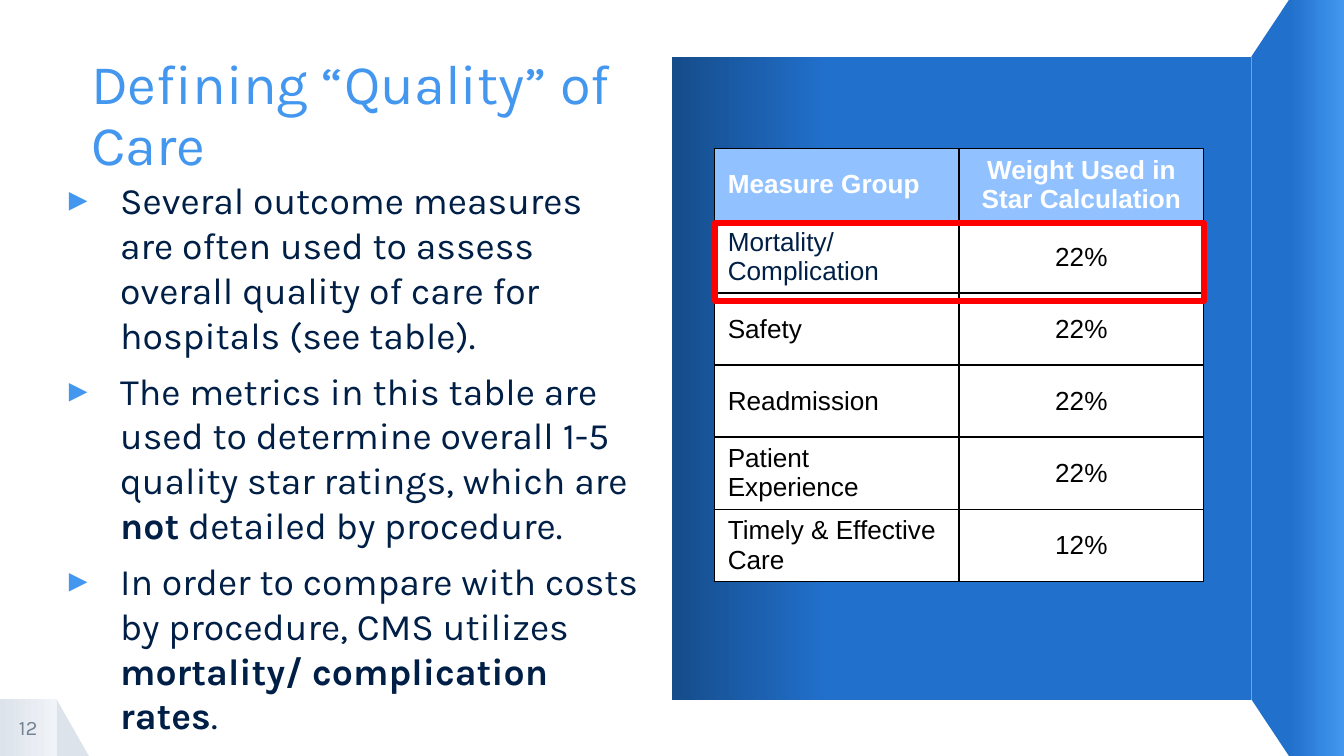
from dataclasses import dataclass

from lxml.etree import SubElement
from pptx import Presentation
from pptx.dml.color import RGBColor
from pptx.enum.shapes import MSO_SHAPE
from pptx.enum.text import MSO_ANCHOR, MSO_AUTO_SIZE, PP_ALIGN
from pptx.oxml import parse_xml
from pptx.oxml.ns import nsdecls, qn
from pptx.util import Cm, Pt


@dataclass(frozen=True)
class Theme:
    heading_font: str = "Karla"
    table_font: str = "Arial"
    white: str = "FFFFFF"
    black: str = "000000"
    navy: str = "001F46"
    sky: str = "4397EE"
    blue: str = "2170CC"
    deep_blue: str = "154C8A"
    header_blue: str = "91C2FF"
    grey: str = "DDE3EB"
    pale_grey: str = "F0F3F7"
    number_grey: str = "748394"
    red: str = "FF0000"
    title_size: int = 30
    body_size: int = 20
    table_size: int = 14
    number_size: int = 11


def color(value):
    return RGBColor.from_string(value)


def lengths(values):
    return [Cm(value) for value in values]


def apply(target, values):
    for name, value in values.items():
        setattr(target, name, value)


class SlideBuilder:
    def __init__(self, page, theme):
        self.page = page
        self.theme = theme

    def add_spans(self, para, spans, font, size, ink):
        """Add (text, bold) spans that share one font, size and colour."""
        for text, bold in spans:
            span = para.add_run()
            span.text = text
            apply(span.font, {"name": font, "size": Pt(size), "bold": bold})
            span.font.color.rgb = color(ink)

    def frame(self, box, anchor):
        frame = box.text_frame
        apply(frame, {
            "word_wrap": True, "auto_size": MSO_AUTO_SIZE.NONE, "vertical_anchor": anchor,
            "margin_left": 0, "margin_right": 0, "margin_top": 0, "margin_bottom": 0,
        })
        return frame

    def place(self, box, area):
        apply(box, dict(zip(("left", "top", "width", "height"), lengths(area))))

    def shape(self, kind, area, fill=None):
        box = self.page.shapes.add_shape(kind, *lengths(area))
        box.shadow.inherit = False
        box.line.fill.background()
        if fill:
            box.fill.solid()
            box.fill.fore_color.rgb = color(fill)
        else:
            box.fill.background()
        return box

    def gradient(self, area, start, end, end_at=1.0):
        """Draw a rectangle that blends left to right, finished at end_at."""
        box = self.shape(MSO_SHAPE.RECTANGLE, area)
        box.fill.gradient()
        box.fill.gradient_angle = 0
        for stop, shade, position in zip(box.fill.gradient_stops, (start, end), (0, end_at)):
            stop.color.rgb = color(shade)
            stop.position = position

    def polygon(self, points, fill):
        first, *others = [lengths(point) for point in points]
        builder = self.page.shapes.build_freeform(*first)
        builder.add_line_segments(others, close=True)
        outline = builder.convert_to_shape()
        outline.shadow.inherit = False
        outline.fill.solid()
        outline.fill.fore_color.rgb = color(fill)
        outline.line.fill.background()

    def highlight(self, area, ink, width):
        box = self.shape(MSO_SHAPE.RECTANGLE, area)
        box.line.color.rgb = color(ink)
        box.line.width = Pt(width)

    def title(self, text, area):
        box = self.page.shapes.title
        self.place(box, area)
        para = self.frame(box, MSO_ANCHOR.BOTTOM).paragraphs[0]
        apply(para, {"alignment": PP_ALIGN.LEFT, "line_spacing": 0.9})
        theme = self.theme
        self.add_spans(para, [(text, False)], theme.heading_font, theme.title_size, theme.sky)

    def bullets(self, items, area):
        box = self.page.placeholders[1]
        self.place(box, area)
        frame = self.frame(box, MSO_ANCHOR.TOP)
        theme = self.theme
        for index, spans in enumerate(items):
            para = frame.add_paragraph() if index else frame.paragraphs[0]
            para.space_before = Pt(6)
            properties = para._p.get_or_add_pPr()
            indent = Cm(0.97)
            properties.set("marL", str(indent))
            properties.set("indent", str(-indent))
            bullet_color = SubElement(properties, qn("a:buClr"))
            SubElement(bullet_color, qn("a:srgbClr"), val=theme.sky)
            SubElement(properties, qn("a:buFont"), typeface=theme.heading_font)
            SubElement(properties, qn("a:buChar"), char="▸")
            self.add_spans(para, spans, theme.heading_font, theme.body_size, theme.navy)

    def page_number(self, text, area):
        box = self.page.shapes.add_textbox(*lengths(area))
        para = self.frame(box, MSO_ANCHOR.MIDDLE).paragraphs[0]
        para.alignment = PP_ALIGN.CENTER
        theme = self.theme
        self.add_spans(para, [(text, False)], theme.heading_font, theme.number_size,
                       theme.number_grey)

    def cell(self, cell, text, fill, ink, bold, alignment):
        cell.fill.solid()
        cell.fill.fore_color.rgb = color(fill)
        cell.vertical_anchor = MSO_ANCHOR.MIDDLE
        para = cell.text_frame.paragraphs[0]
        para.alignment = alignment
        self.add_spans(para, [(text, bold)], self.theme.table_font, self.theme.table_size, ink)
        properties = cell._tc.get_or_add_tcPr()
        for index, side in enumerate(("lnL", "lnR", "lnT", "lnB")):
            properties.insert(index, parse_xml(
                f'<a:{side} {nsdecls("a")} w="{Pt(0.75)}"><a:solidFill>'
                f'<a:srgbClr val="{self.theme.black}"/></a:solidFill></a:{side}>'))

    def table(self, rows, area, row_height):
        table = self.page.shapes.add_table(len(rows), len(rows[0]), *lengths(area)).table
        apply(table, {"first_row": False, "horz_banding": False})
        theme = self.theme
        for row_index, values in enumerate(rows):
            table.rows[row_index].height = Cm(row_height)
            header = row_index == 0
            for column, text in enumerate(values):
                ink = theme.white if header else theme.black
                if (row_index, column) == (1, 0):
                    ink = theme.navy
                self.cell(table.cell(row_index, column), text,
                          theme.header_blue if header else theme.white, ink, header,
                          PP_ALIGN.CENTER if column else PP_ALIGN.LEFT)


def main():
    deck = Presentation()
    apply(deck, {"slide_width": Cm(25.4), "slide_height": Cm(14.29)})
    theme = Theme()
    slide = SlideBuilder(deck.slides.add_slide(deck.slide_layouts[1]), theme)

    number_area = (0, 13.22, 1.07, 1.07)
    slide.shape(MSO_SHAPE.RIGHT_TRIANGLE, (1.07, 13.22, 0.61, 1.07), theme.grey)
    slide.gradient(number_area, theme.grey, theme.pale_grey)
    slide.gradient((24.36, 0, 1.04, 14.29), theme.blue, theme.sky)
    slide.polygon([(24.36, 0), (23.65, 1.07), (23.65, 13.22), (24.38, 14.32)], theme.blue)
    slide.gradient((12.7, 1.07, 10.95, 12.16), theme.deep_blue, theme.blue, 0.27)

    slide.title("Defining “Quality” of Care", (1.72, 0.99, 10.03, 2.36))
    slide.bullets([
        [("Several outcome measures are often used to assess overall quality of care "
          "for hospitals (see table).", False)],
        [("The metrics in this table are used to determine overall 1-5 quality star "
          "ratings, which are ", False), ("not", True), (" detailed by procedure.", False)],
        [("In order to compare with costs by procedure, CMS utilizes ", False),
         ("mortality/ complication rates", True), (".", False)],
    ], (1.3, 3.35, 10.85, 9.86))
    slide.page_number("12", number_area)

    slide.table([
        ("Measure Group", "Weight Used in Star Calculation"),
        ("Mortality/ Complication", "22%"),
        ("Safety", "22%"),
        ("Readmission", "22%"),
        ("Patient Experience", "22%"),
        ("Timely & Effective Care", "12%"),
    ], (13.5, 2.81, 9.25, 8.16), 1.36)
    slide.highlight((13.51, 4.22, 9.25, 1.47), theme.red, 3.25)

    deck.save("out.pptx")


if __name__ == "__main__":
    main()
